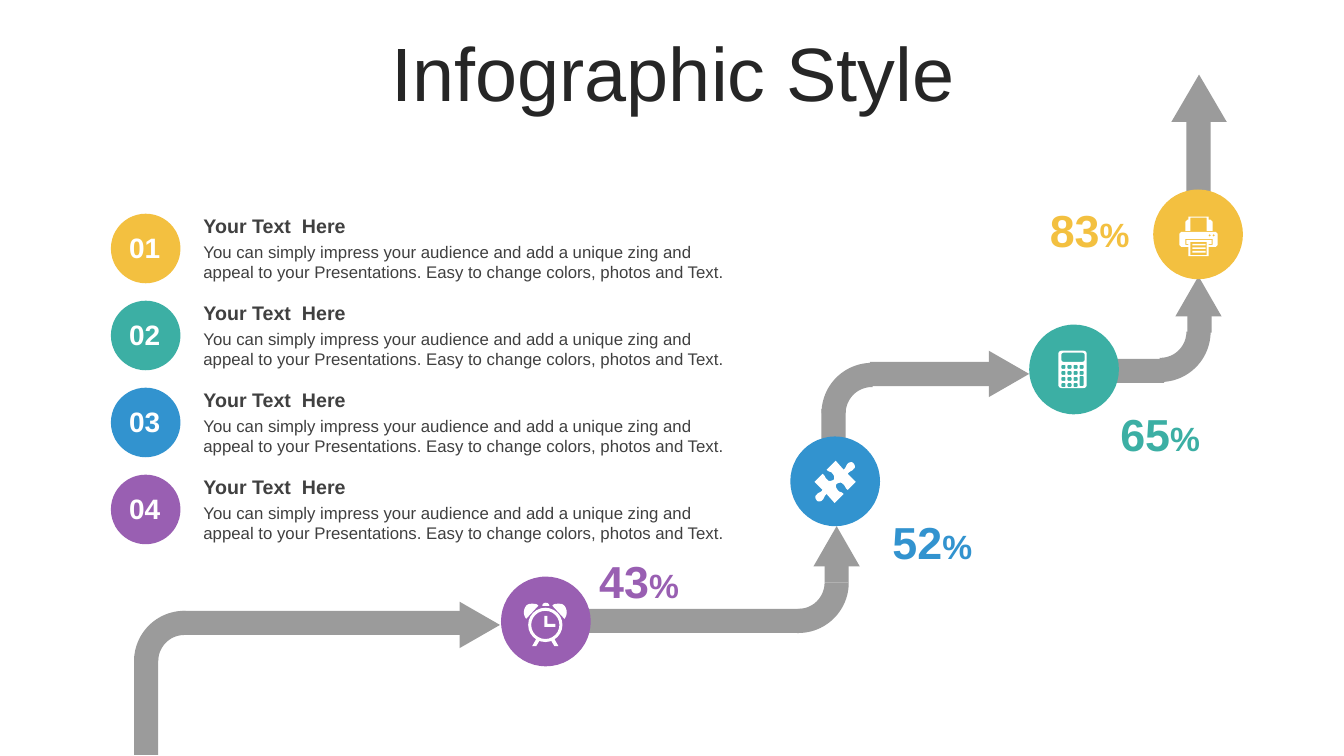
from math import cos, radians, sin

from pptx import Presentation
from pptx.dml.color import RGBColor
from pptx.enum.shapes import MSO_SHAPE
from pptx.enum.text import MSO_ANCHOR, MSO_AUTO_SIZE, PP_ALIGN
from pptx.util import Cm, Pt

YELLOW, TEAL, BLUE, PURPLE = "F3C040", "3CAFA4", "3293CF", "995FB2"
WHITE, GREY, DARK, TITLE = "FFFFFF", "9B9B9B", "404040", "262626"
ROAD = 0.24
BODY = ("You can simply impress your audience and add a unique zing and "
        "appeal to your Presentations. Easy to change colors, photos and Text.")


def inch(value):
    return Cm(value * 2.54)


def color(code):
    return RGBColor.from_string(code)


def block(left, top, right, bottom, radius=0):
    if not radius:
        return [(left, top), (right, top), (right, bottom), (left, bottom)]
    corners = [(right - radius, bottom - radius, 0), (left + radius, bottom - radius, 90),
               (left + radius, top + radius, 180), (right - radius, top + radius, 270)]
    return [(x + radius * cos(radians(start + turn)), y + radius * sin(radians(start + turn)))
            for x, y, start in corners for turn in range(0, 91, 15)]


def disc(x, y, radius):
    return block(x - radius, y - radius, x + radius, y + radius, radius)


def outline(*steps):
    points = [steps[0]]
    for step in steps[1:]:
        if len(step) == 2:
            points.append(step)
            continue
        anchors = [points[-1], step[:2], step[2:4], step[4:]]
        for part in range(1, 9):
            t = part / 8
            weights = ((1 - t) ** 3, 3 * t * (1 - t) ** 2, 3 * t * t * (1 - t), t ** 3)
            points.append(tuple(sum(w * a[axis] for w, a in zip(weights, anchors))
                                for axis in (0, 1)))
    return points


def mirrored(contour, axis):
    return [(2 * axis - x, y) for x, y in contour]


class Slide:
    font = "Arial"

    def __init__(self, deck):
        self.shapes = deck.slides.add_slide(deck.slide_layouts[6]).shapes

    def paint(self, shape, fill):
        shape.shadow.inherit = False
        shape.fill.solid()
        shape.fill.fore_color.rgb = color(fill)
        shape.line.fill.background()
        return shape

    def figure(self, kind, box, fill=GREY, rotation=0):
        shape = self.paint(self.shapes.add_shape(kind, *map(inch, box)), fill)
        shape.rotation = rotation
        return shape

    def circle(self, left, top, size, fill):
        self.figure(MSO_SHAPE.OVAL, (left, top, size, size), fill)

    def straight(self, left, top, width=ROAD, height=ROAD):
        self.figure(MSO_SHAPE.RECTANGLE, (left, top, width, height))

    def bend(self, left, top, rotation=0):
        arc = self.figure(MSO_SHAPE.BLOCK_ARC, (left, top, 1, 1), rotation=rotation)
        for index, value in enumerate((108, 162.85, 0.24)):
            arc.adjustments[index] = value

    def arrowhead(self, left, top, rotation=0, width=0.46, height=0.4):
        self.figure(MSO_SHAPE.ISOSCELES_TRIANGLE, (left, top, width, height), rotation=rotation)

    def icon(self, contours):
        builder = None
        for contour in contours:
            points = [(inch(x), inch(y)) for x, y in contour]
            if builder is None:
                builder = self.shapes.build_freeform(*points[0], scale=1.0)
            else:
                builder.move_to(*points[0])
            builder.add_line_segments(points[1:], close=True)
        self.paint(builder.convert_to_shape(), WHITE)

    def text(self, box, runs, fill, align=PP_ALIGN.LEFT, bold=False, grow=True):
        frame = self.shapes.add_textbox(*map(inch, box)).text_frame
        frame.word_wrap = True
        if grow:
            frame.auto_size = MSO_AUTO_SIZE.SHAPE_TO_FIT_TEXT
        else:
            frame.vertical_anchor = MSO_ANCHOR.MIDDLE
        paragraph = frame.paragraphs[0]
        paragraph.alignment = align
        for words, size in runs:
            run = paragraph.add_run()
            run.text = words
            run.font.name = self.font
            run.font.size = Pt(size)
            run.font.bold = bold
            run.font.color.rgb = color(fill)
        return paragraph


def clock():
    bell = outline((5.28, 5.99), (5.3, 5.99, 5.33, 5.99, 5.34, 6.01), (5.22, 6.14),
                   (5.19, 6.1, 5.19, 6.05, 5.22, 6.01), (5.24, 5.99, 5.26, 5.99, 5.28, 5.99))
    leg = [(5.32, 6.41), (5.28, 6.41), (5.32, 6.34), (5.35, 6.36)]
    hands = [(5.4, 6.11), (5.43, 6.11), (5.43, 6.19), (5.51, 6.19), (5.51, 6.22), (5.4, 6.22)]
    button = outline((5.38, 6.01), (5.38, 5.97, 5.45, 5.97, 5.45, 6.01))
    center = 5.41
    return [disc(center, 6.2, 0.17), disc(center, 6.2, 0.14), hands, button,
            bell, mirrored(bell, center), leg, mirrored(leg, center)]


def calculator():
    keys = [block(10.53 + 0.06 * column, 3.62 + 0.06 * row,
                  10.57 + 0.06 * column, 3.66 + 0.06 * row, 0.01)
            for row in range(4) for column in range(4) if column < 3 or row < 2]
    return [block(10.5, 3.48, 10.78, 3.85, 0.03), block(10.53, 3.5, 10.76, 3.59, 0.02),
            block(10.71, 3.73, 10.75, 3.83, 0.01), *keys]


def printer():
    body = [(11.72, 2.3), (12.06, 2.3), (12.08, 2.32), (12.08, 2.43), (12.06, 2.45),
            (11.99, 2.45), (11.99, 2.54), (11.79, 2.54), (11.79, 2.45), (11.72, 2.45),
            (11.7, 2.43), (11.7, 2.32)]
    slot = [(11.76, 2.37), (12.03, 2.37), (12.03, 2.43), (11.99, 2.43), (11.99, 2.42),
            (12.02, 2.42), (12.02, 2.38), (11.77, 2.38), (11.77, 2.42), (11.79, 2.42),
            (11.79, 2.43), (11.76, 2.43)]
    feeder = [(11.79, 2.15), (11.99, 2.15), (11.99, 2.18), (12.01, 2.18), (12.03, 2.2),
              (12.03, 2.29), (11.97, 2.29), (11.97, 2.16), (11.81, 2.16), (11.81, 2.29),
              (11.76, 2.29), (11.76, 2.2), (11.78, 2.18), (11.79, 2.18)]
    lines = [block(11.83, top, 11.96, top + 0.015) for top in (2.42, 2.455, 2.49)]
    lights = [disc(x, 2.335, 0.01) for x in (12, 12.04)]
    return [body, slot, feeder, block(11.81, 2.4, 11.97, 2.53), *lines, *lights]


def puzzle():
    half = outline((8.47, 4.6), (8.48, 4.61, 8.49, 4.64, 8.47, 4.65),
                   (8.45, 4.68, 8.43, 4.67, 8.41, 4.7), (8.49, 4.78), (8.41, 4.86),
                   (8.38, 4.84, 8.39, 4.82, 8.36, 4.8), (8.35, 4.78, 8.32, 4.79, 8.3, 4.8),
                   (8.29, 4.81, 8.29, 4.84, 8.31, 4.86), (8.33, 4.89, 8.34, 4.87, 8.37, 4.9),
                   (8.28, 4.99), (8.2, 4.9), (8.17, 4.93, 8.18, 4.94, 8.16, 4.96),
                   (8.14, 4.98, 8.11, 4.98, 8.1, 4.96))
    return [half + [(16.57 - x, 9.56 - y) for x, y in half]]


def main():
    deck = Presentation()
    deck.slide_width, deck.slide_height = inch(13.333), inch(7.5)
    slide = Slide(deck)
    heading = slide.text((0.35, 0.37, 12.66, 0.79), [("Infographic Style", 54)], TITLE,
                         PP_ALIGN.CENTER, grow=False)
    heading.line_spacing = 0.9

    for run in ((8.15, 4.06, ROAD, 0.31), (8.63, 3.59, 1.3), (5.83, 6.04, 2.13),
                (8.18, 5.5, ROAD, 0.28), (11.77, 1.19, ROAD, 0.89), (1.33, 6.51, ROAD, 0.98),
                (1.81, 6.06, 2.76), (11.01, 3.56, 0.54), (11.78, 3.02, ROAD, 0.28)):
        slide.straight(*run)
    for turn in ((8.15, 3.6), (7.42, 5.28, 180), (1.33, 6.06), (11.01, 2.79, 180)):
        slide.bend(*turn)
    for tip in ((9.78, 3.51, 90), (8.07, 5.22), (4.53, 6, 90), (11.66, 2.74),
                (11.62, 0.74, 0, 0.55, 0.47)):
        slide.arrowhead(*tip)

    for index, fill in enumerate((YELLOW, TEAL, BLUE, PURPLE)):
        drop = 0.863 * index
        slide.circle(1.1, 2.12 + drop, 0.69, fill)
        slide.text((1.18, 2.24 + drop, 0.51, 0.44), [(f"{index + 1:02}", 20)], WHITE,
                   PP_ALIGN.CENTER, bold=True)
        slide.text((1.92, 2.07 + drop, 5.5, 0.34), [("Your Text  Here", 14)], DARK, bold=True)
        slide.text((1.92, 2.35 + drop, 5.5, 0.5), [(BODY, 12)], DARK)

    milestones = (("43", PURPLE, (4.97, 5.72), (5.82, 5.44), clock),
                  ("52", BLUE, (7.84, 4.33), (8.73, 5.06), puzzle),
                  ("65", TEAL, (10.21, 3.22), (10.99, 3.99), calculator),
                  ("83", YELLOW, (11.44, 1.88), (10.29, 1.96), printer))
    for share, fill, spot, label, symbol in milestones:
        slide.circle(*spot, 0.89, fill)
        slide.icon(symbol())
        slide.text((*label, 1.04, 0.64), [(share, 32), ("%", 24)], fill,
                   PP_ALIGN.CENTER, bold=True)

    deck.save("out.pptx")


if __name__ == "__main__":
    main()
